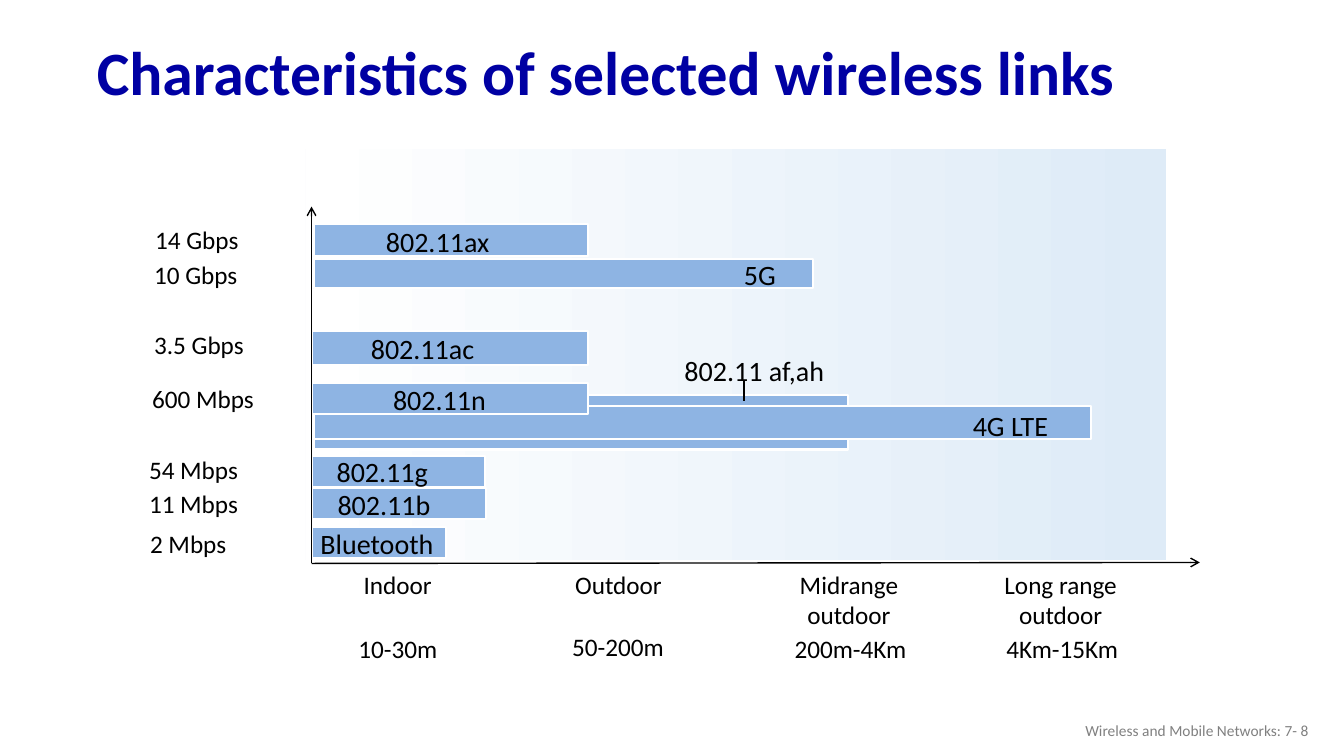
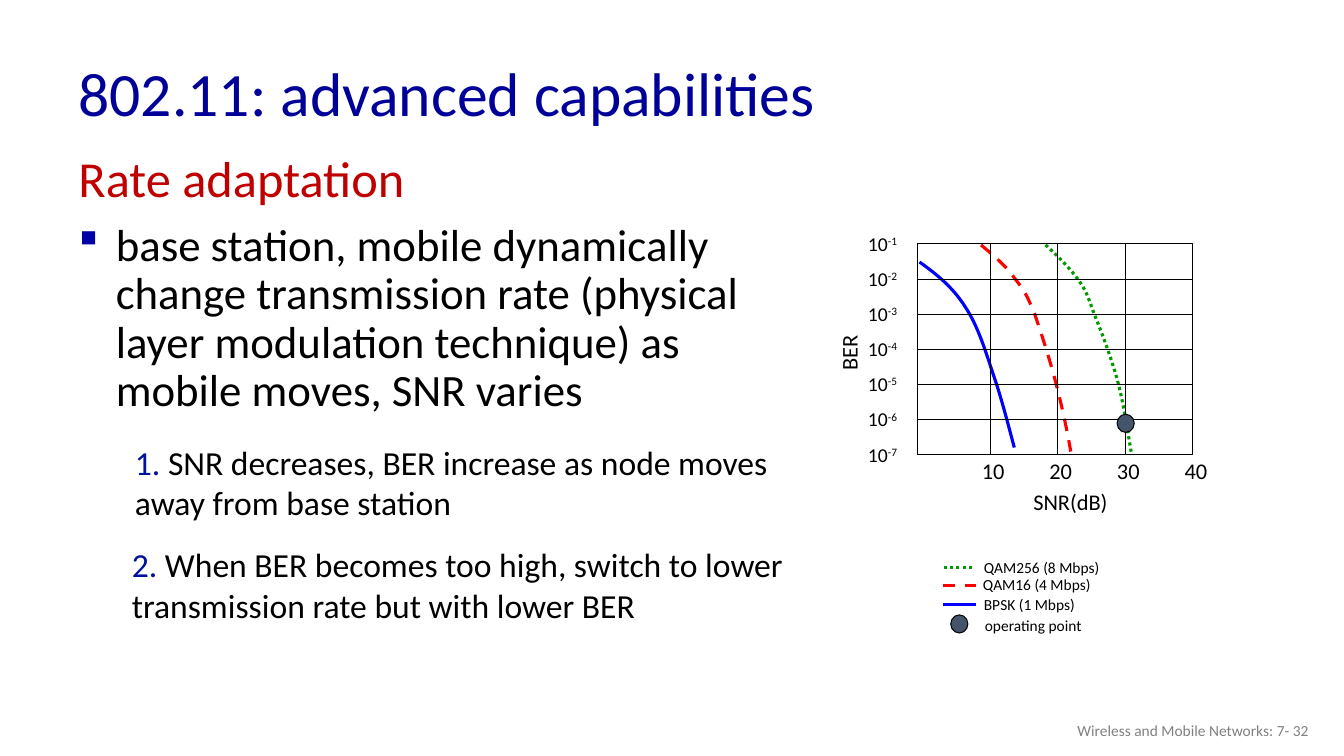
from typing import NamedTuple

import lxml.etree
import pptx
import pptx.dml.color
import pptx.enum.dml
import pptx.enum.shapes
import pptx.enum.text
import pptx.oxml.ns
import pptx.util

Inches = pptx.util.Inches
Pt = pptx.util.Pt
Align = pptx.enum.text.PP_ALIGN
Anchor = pptx.enum.text.MSO_ANCHOR
AutoSize = pptx.enum.text.MSO_AUTO_SIZE
Dash = pptx.enum.dml.MSO_LINE
Preset = pptx.enum.shapes.MSO_SHAPE
qn = pptx.oxml.ns.qn

FONT = "Calibri"
COLORS = {
    "title_bold": "0000A3",
    "title": "000099",
    "footer": "808080",
    "text": "000000",
    "white": "FFFFFF",
    "pale_blue": "DEEBF7",
    "bar": "8EB4E3",
    "heading": "C00000",
    "number": "011199",
    "bpsk": "0000FF",
    "qam16": "FF0000",
    "qam256": "009900",
    "point": "44546A",
}


class Span(NamedTuple):
    text: str
    color: str = "text"
    raised: bool = False


class Label(NamedTuple):
    text: str
    left: float
    top: float
    width: float


class Bar(NamedTuple):
    left: float
    top: float
    width: float
    height: float
    label: Label


class Curve(NamedTuple):
    """A smooth curve: a start point, then groups of two handles and an end."""
    color: str
    dash: Dash
    points: list[tuple[float, float]]


class LegendLine(NamedTuple):
    color: str
    dash: Dash
    left: float
    right: float
    top: float
    label: Label


BARS = [
    Bar(3.11, 3.92, 5.3, 0.54, Label("802.11 af,ah", 6.69, 3.46, 1.62)),
    Bar(3.11, 4.03, 7.71, 0.33, Label("4G LTE", 9.55, 4, 0.98)),
    Bar(3.09, 3.28, 2.74, 0.34, Label("802.11ac", 3.58, 3.24, 1.24)),
    Bar(3.09, 3.8, 2.74, 0.31, Label("802.11n", 3.8, 3.75, 1.13)),
    Bar(3.09, 4.52, 1.72, 0.31, Label("802.11g", 3.24, 4.46, 1.11)),
    Bar(3.09, 4.84, 1.73, 0.31, Label("802.11b", 3.25, 4.79, 1.13)),
    Bar(3.09, 5.23, 1.33, 0.31, Label("Bluetooth", 3.08, 5.17, 1.34)),
    Bar(3.11, 2.22, 2.72, 0.32, Label("802.11ax", 3.73, 2.18, 1.24)),
    Bar(3.11, 2.57, 4.95, 0.29, Label("5G", 7.28, 2.51, 0.52)),
]
RATES = [
    Label("14 Gbps", 1.44, 2.18, 1.04),
    Label("3.5 Gbps", 1.43, 3.22, 1.1),
    Label("600 Mbps", 1.41, 3.75, 1.22),
    Label("54 Mbps", 1.38, 4.46, 1.1),
    Label("11 Mbps", 1.38, 4.79, 1.1),
    Label("2 Mbps", 1.39, 5.19, 0.97),
]
UNFILLED_RATE = Label("10 Gbps", 1.43, 2.52, 1.04)
RANGES = [
    Label("Indoor", 3.5, 5.6, 0.89),
    Label("Outdoor", 5.6, 5.6, 1.07),
    Label("Midrange\noutdoor", 7.82, 5.6, 1.2),
    Label("Long range\noutdoor", 9.85, 5.6, 1.34),
    Label("10-30m", 3.45, 6.23, 0.99),
    Label("50-200m", 5.57, 6.21, 1.12),
    Label("200m-4Km", 7.77, 6.23, 1.33),
    Label("4Km-15Km", 9.87, 6.23, 1.33),
]
CURVES = [
    Curve("bpsk", Dash.SOLID, [
        (9.12, 2.6), (9.29, 2.72), (9.45, 2.85), (9.57, 3.04), (9.7, 3.23),
        (9.78, 3.5), (9.86, 3.74), (9.94, 3.97), (10.03, 4.33), (10.06, 4.44)]),
    Curve("qam16", Dash.DASH, [
        (9.73, 2.43), (9.86, 2.54), (9.99, 2.65), (10.07, 2.77), (10.16, 2.88),
        (10.19, 2.94), (10.26, 3.11), (10.32, 3.28), (10.41, 3.56),
        (10.47, 3.79), (10.53, 4.02), (10.58, 4.25), (10.62, 4.48)]),
    Curve("qam256", Dash.ROUND_DOT, [
        (10.37, 2.43), (10.49, 2.54), (10.61, 2.66), (10.69, 2.77),
        (10.77, 2.88), (10.79, 2.94), (10.85, 3.11), (10.92, 3.28),
        (11.03, 3.57), (11.09, 3.8), (11.15, 4.03), (11.2, 4.38), (11.22, 4.49)]),
]
LEGEND = [
    LegendLine("qam256", Dash.ROUND_DOT, 9.36, 9.66, 5.63,
               Label("QAM256 (8 Mbps)", 9.66, 5.49, 1.36)),
    LegendLine("qam16", Dash.DASH, 9.35, 9.68, 5.81,
               Label("QAM16 (4 Mbps)", 9.65, 5.66, 1.28)),
    LegendLine("bpsk", Dash.SOLID, 9.35, 9.68, 6,
               Label("BPSK (1 Mbps)", 9.66, 5.85, 1.11)),
]


def rgb(name: str) -> pptx.dml.color.RGBColor:
    return pptx.dml.color.RGBColor.from_string(COLORS[name])


def write(frame, content: str | list[list[Span]], *, size=18, color="text",
          bold=False, align=Align.LEFT, spacing=1.0) -> None:
    """Fill a text frame from plain text, or from paragraphs of spans."""
    if isinstance(content, str):
        content = [[Span(line, color)] for line in content.split("\n")]
    for index, spans in enumerate(content):
        para = frame.paragraphs[0] if index == 0 else frame.add_paragraph()
        para.alignment = align
        para.line_spacing = spacing
        for span in spans:
            run = para.add_run()
            run.text = span.text
            run.font.name = FONT
            run.font.size = Pt(size)
            run.font.bold = bold
            run.font.color.rgb = rgb(span.color)
            if span.raised:
                run._r.get_or_add_rPr().set("baseline", "30000")


def add_preset(page, preset, left: float, top: float, width: float, height: float,
               *, fill=None, line=None, weight=0.75):
    shape = page.shapes.add_shape(
        preset, Inches(left), Inches(top), Inches(width), Inches(height))
    shape.shadow.inherit = False
    if fill:
        shape.fill.solid()
        shape.fill.fore_color.rgb = rgb(fill)
    else:
        shape.fill.background()
    if line:
        shape.line.color.rgb = rgb(line)
        shape.line.width = Pt(weight)
    else:
        shape.line.fill.background()
    return shape


def add_text(page, content, left: float, top: float, width: float, height: float,
             *, fill=None, wrap=False, anchor=Anchor.TOP, **style):
    """Add a text box, or a filled rectangle with text when a fill is given."""
    if fill:
        box = add_preset(page, Preset.RECTANGLE, left, top, width, height, fill=fill)
    else:
        box = page.shapes.add_textbox(
            Inches(left), Inches(top), Inches(width), Inches(height))
    box.text_frame.word_wrap = wrap
    box.text_frame.vertical_anchor = anchor
    write(box.text_frame, content, **style)
    return box


def add_labels(page, labels: list[Label], *, size=18, **style) -> None:
    """Add unwrapped labels, each as high as its lines need."""
    for label in labels:
        lines = label.text.count("\n") + 1
        height = 0.1 + lines * size * 1.22 / 72
        box = add_text(page, *label, height, size=size, **style)
        box.text_frame.auto_size = AutoSize.SHAPE_TO_FIT_TEXT


def add_line(page, start: tuple[float, float], end: tuple[float, float], *,
             color="text", weight=0.75, dash=Dash.SOLID, arrow=False):
    line = page.shapes.add_connector(
        pptx.enum.shapes.MSO_CONNECTOR.STRAIGHT, *map(Inches, start + end))
    line.line.color.rgb = rgb(color)
    line.line.width = Pt(weight)
    line.line.dash_style = dash
    if arrow:
        lxml.etree.SubElement(line.get_or_add_ln(), qn("a:tailEnd"), type="arrow")
    lxml.etree.SubElement(line._element.spPr, qn("a:effectLst"))
    return line


def add_curve(page, curve: Curve) -> None:
    """Lay out the points as a freeform, then bend every three segments into one."""
    start, *rest = [tuple(map(Inches, point)) for point in curve.points]
    builder = page.shapes.build_freeform(*start)
    builder.add_line_segments(rest, close=False)
    shape = builder.convert_to_shape()
    segments = list(shape._element.iter(qn("a:lnTo")))
    for first in range(0, len(segments), 3):
        bend = lxml.etree.Element(qn("a:cubicBezTo"))
        segments[first].addprevious(bend)
        for segment in segments[first:first + 3]:
            bend.append(segment[0])
            segment.getparent().remove(segment)
    shape.shadow.inherit = False
    shape.fill.background()
    shape.line.color.rgb = rgb(curve.color)
    shape.line.width = Pt(2.25)
    shape.line.dash_style = curve.dash


def add_page(deck, title: str, number: int, left: float, top: float, **style):
    """Start a slide with its title and footer."""
    page = deck.slides.add_slide(deck.slide_layouts.get_by_name("Title Only"))
    heading = page.shapes.title
    heading.left, heading.top = Inches(left), Inches(top)
    heading.width, heading.height = Inches(11.5), Inches(0.98)
    heading.text_frame.auto_size = AutoSize.NONE
    heading.text_frame.vertical_anchor = Anchor.MIDDLE
    write(heading.text_frame, title, size=44, spacing=0.9, **style)
    add_text(page, f"Wireless and Mobile Networks: 7- {number}", 10.08, 7.05, 3, 0.4,
             wrap=True, anchor=Anchor.MIDDLE, size=11, color="footer", align=Align.RIGHT)
    return page


def build_links_page(deck) -> None:
    page = add_page(deck, "Characteristics of selected wireless links", 8,
                    0.86, 0.26, color="title_bold", bold=True)
    backdrop = add_preset(page, Preset.RECTANGLE, 3.03, 1.48, 8.54, 4.08)
    backdrop.fill.gradient()
    backdrop.fill.gradient_angle = 180
    for stop, (position, color) in zip(backdrop.fill.gradient_stops,
                                       [(0.01, "pale_blue"), (1, "white")]):
        stop.position = position
        stop.color.rgb = rgb(color)
    origin = (3.09, 5.59)
    add_labels(page, RANGES, fill="white", align=Align.CENTER)
    add_line(page, origin, (11.9, 5.58), weight=1, arrow=True)
    add_labels(page, RATES, fill="white")
    add_labels(page, [UNFILLED_RATE])
    for bar in BARS:
        add_preset(page, Preset.RECTANGLE, *bar[:4], fill="bar", line="white", weight=1.5)
        add_labels(page, [bar.label], size=20)
    add_line(page, (7.38, 3.78), (7.38, 3.98), weight=1)
    add_line(page, origin, (3.09, 2.05), weight=1, arrow=True)


def add_error_plot(page) -> None:
    left, top, width, height = 9.1, 2.42, 2.73, 2.09
    right, bottom = left + width, top + height
    row = height / 6
    for curve in CURVES:
        add_curve(page, curve)
    frame = add_preset(page, Preset.RECTANGLE, left, top, width, height, line="text")
    for index in range(1, 6):
        y = top + index * row
        line = add_line(page, (left, y), (right, y))
        if index == 3:
            line.begin_connect(frame, 1)
            line.end_connect(frame, 3)
    for index in range(4):
        x = 9.82 + 0.67 * index
        if index < 3:
            add_line(page, (x, top), (x, bottom))
        add_text(page, str(10 * (index + 1)), x - 0.18, 4.49, 0.58, 0.37,
                 wrap=True, size=16)
    for index in range(7):
        add_text(page, [[Span("10"), Span(f"-{index + 1}", raised=True)]],
                 8.51, 2.25 + index * row, 0.69, 0.34, wrap=True, size=14)
    add_text(page, "SNR(dB)", 10.15, 4.79, 1.28, 0.37, wrap=True, size=16)
    add_text(page, "BER", 8.14, 3.31, 0.56, 0.37, size=16).rotation = 270


def build_rate_page(deck) -> None:
    page = add_page(deck, "802.11: advanced capabilities", 32, 0.68, 0.47, color="title")
    body = add_text(page, [
        [Span("Rate adaptation", "heading")],
        [Span("base station, mobile dynamically change transmission rate (physical "
              "layer modulation technique) as mobile moves, SNR varies")],
    ], 0.66, 1.48, 7.19, 5.08, wrap=True, size=32, spacing=0.9)
    heading, bullet = body.text_frame.paragraphs
    heading.runs[0].font.size = Pt(36)
    for para in (heading, bullet):
        para.space_before = Pt(10)
        properties = para._p.get_or_add_pPr()
        properties.set("marL", str(Inches(0.39)))
        properties.set("indent", str(Inches(-0.37)))
    properties = bullet._p.get_or_add_pPr()
    bullet_color = lxml.etree.SubElement(properties, qn("a:buClr"))
    lxml.etree.SubElement(bullet_color, qn("a:srgbClr"), val=COLORS["title_bold"])
    lxml.etree.SubElement(properties, qn("a:buFont"), typeface="Wingdings", charset="2")
    lxml.etree.SubElement(properties, qn("a:buChar"), char="§")

    add_error_plot(page)
    for item in LEGEND:
        add_line(page, (item.left, item.top), (item.right, item.top),
                 color=item.color, weight=2.25, dash=item.dash)
        add_labels(page, [item.label], size=11)
    add_labels(page, [Label("operating point", 9.67, 6.06, 1.17)], size=11)
    for left, top in [(11.08, 4.11), (9.43, 6.1)]:
        add_preset(page, Preset.OVAL, left, top, 0.17, 0.18, fill="point", line="text")

    steps = [
        Label("SNR decreases, BER increase as node moves away from base station",
              1.24, 4.33, 7.2),
        Label("When BER becomes too high, switch to lower transmission rate "
              "but with lower BER", 1.21, 5.35, 7.24),
    ]
    for number, step in enumerate(steps, 1):
        add_text(page, [[Span(f"{number}. ", "number"), Span(step.text)]],
                 *step[1:], 0.91, wrap=True, size=24)


def main() -> None:
    deck = pptx.Presentation()
    deck.slide_width, deck.slide_height = Inches(13.33), Inches(7.5)
    build_links_page(deck)
    build_rate_page(deck)
    deck.save("out.pptx")


if __name__ == "__main__":
    main()
